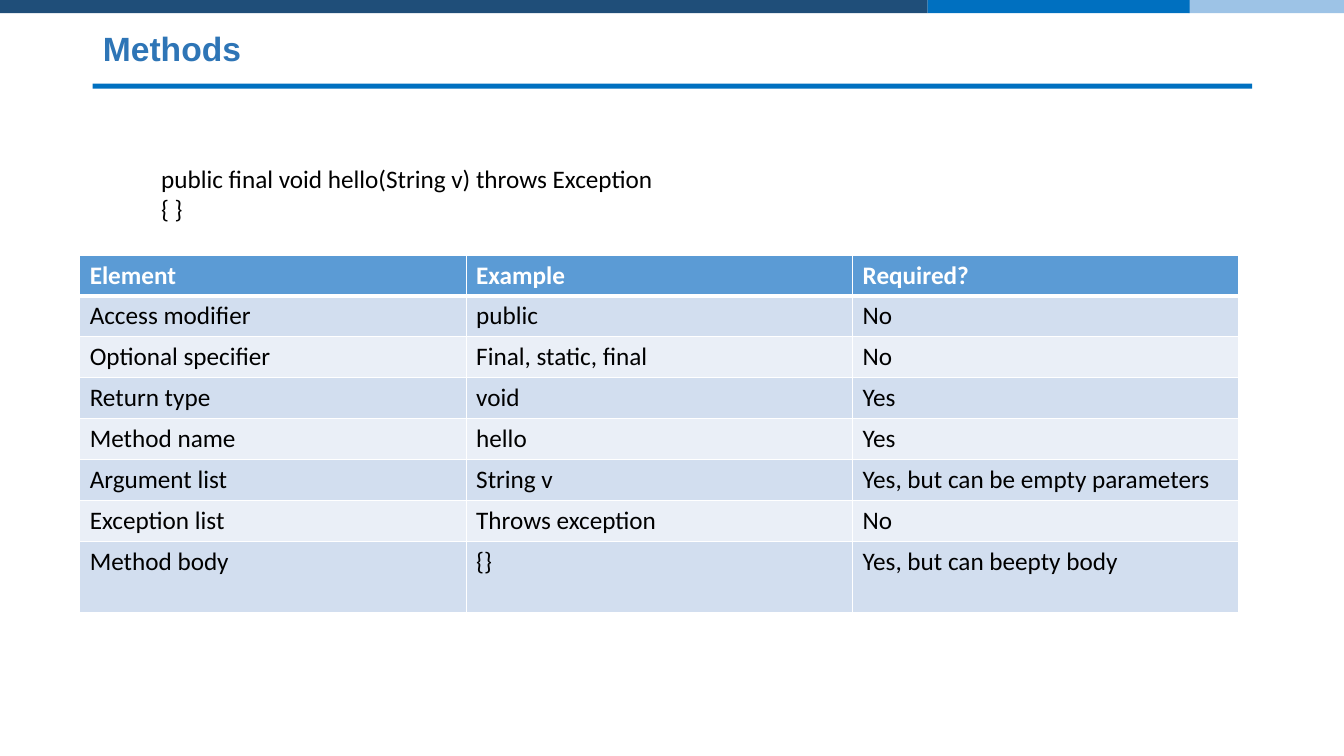
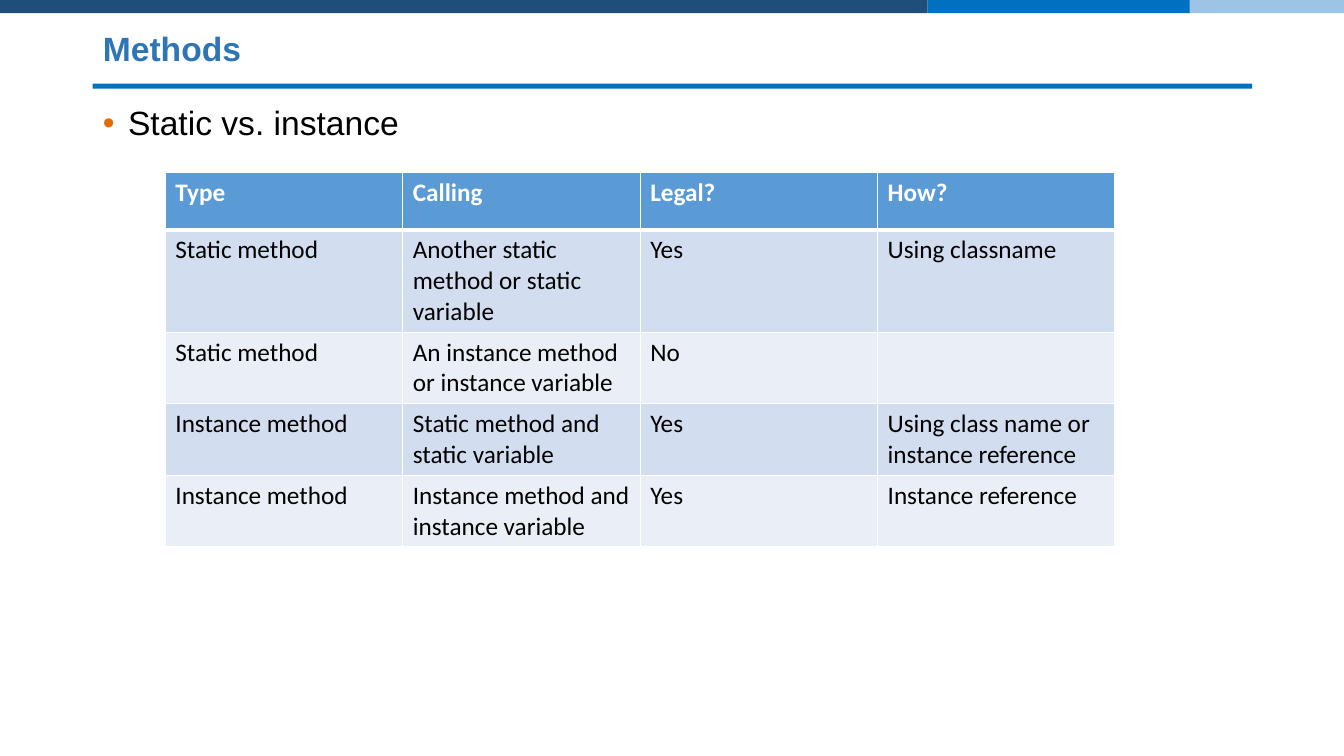
from lxml import etree
from pptx import Presentation
from pptx.dml.color import RGBColor
from pptx.enum.shapes import MSO_SHAPE
from pptx.enum.text import MSO_ANCHOR, MSO_AUTO_SIZE, PP_ALIGN
from pptx.oxml.ns import qn
from pptx.util import Inches, Pt

RECTANGLE = MSO_SHAPE.RECTANGLE
MIDDLE, TOP = MSO_ANCHOR.MIDDLE, MSO_ANCHOR.TOP
NO_AUTOFIT = MSO_AUTO_SIZE.NONE
LEFT = PP_ALIGN.LEFT
TITLE_ONLY, TITLE_AND_BODY = 5, 1
COLORS = {
    "navy": "1F4E79", "blue": "0070C0", "sky": "9DC3E6",
    "title": "2E75B6", "bullet": "E36C09", "text": "000000", "white": "FFFFFF",
    "header": "5B9BD5", "odd_row": "D2DEEF", "even_row": "EAEFF7",
}
MARGIN, CONTENT_WIDTH = 0.92, 11.5
BANDS = [
    (0, -0.01, 9.2, 0.14, "navy"),
    (11.79, -0.01, 1.56, 0.14, "sky"),
    (9.2, -0.01, 2.6, 0.14, "blue"),
    (MARGIN, 0.83, CONTENT_WIDTH, 0.05, "blue"),
]
FIRST_BAND_ID = 101
METHOD_PARTS = [
    ("Element", "Example", "Required?"),
    ("Access modifier", "public", "No"),
    ("Optional specifier", "Final, static, final", "No"),
    ("Return type", "void", "Yes"),
    ("Method name", "hello", "Yes"),
    ("Argument list", "String v", "Yes, but can be empty parameters"),
    ("Exception list", "Throws exception", "No"),
    ("Method body", "{}", "Yes, but can beepty body"),
]
CALL_RULES = [
    ("Type", "Calling", "Legal?", "How?"),
    ("Static method", "Another static method or static variable", "Yes", "Using classname"),
    ("Static method", "An instance method or instance variable", "No", ""),
    ("Instance method", "Static method and static variable", "Yes",
     "Using class name or instance reference"),
    ("Instance method", "Instance method and instance variable", "Yes", "Instance reference"),
]


def color(name):
    return RGBColor.from_string(COLORS[name])


def set_font(para, name, size, color_name, bold=False):
    para.font.name = name
    para.font.size = Pt(size)
    para.font.bold = bold
    para.font.color.rgb = color(color_name)


def place(shape, left, top, width, height):
    shape.left, shape.top = Inches(left), Inches(top)
    shape.width, shape.height = Inches(width), Inches(height)


def add_master_bands(deck, page):
    master_tree = deck.slide_master.shapes.element
    for index, (left, top, width, height, fill) in enumerate(BANDS):
        band = page.shapes.add_shape(
            RECTANGLE, Inches(left), Inches(top), Inches(width), Inches(height))
        band.shadow.inherit = False
        band.fill.solid()
        band.fill.fore_color.rgb = color(fill)
        band.line.fill.background()
        band.element.xpath("p:nvSpPr/p:cNvPr")[0].set("id", str(FIRST_BAND_ID + index))
        master_tree.insert(2 + index, band.element)


def fill_placeholder(box, text, anchor):
    frame = box.text_frame
    frame.auto_size = NO_AUTOFIT
    frame.vertical_anchor = anchor
    para = frame.paragraphs[0]
    para.text = text
    para.alignment = LEFT
    para.line_spacing = 0.9
    para.space_before = Pt(0)
    return para


def add_page(deck, layout_index, title):
    page = deck.slides.add_slide(deck.slide_layouts[layout_index])
    place(page.shapes.title, MARGIN, 0.24, CONTENT_WIDTH, 0.52)
    para = fill_placeholder(page.shapes.title, title, MIDDLE)
    set_font(para, "Arial", 24, "title", bold=True)
    return page


def add_bullet(para):
    properties = para._p.get_or_add_pPr()
    properties.set("marL", str(Inches(0.25)))
    properties.set("indent", str(Inches(-0.25)))
    bullet_color = etree.SubElement(properties, qn("a:buClr"))
    etree.SubElement(bullet_color, qn("a:srgbClr"), val=COLORS["bullet"])
    etree.SubElement(properties, qn("a:buFont"), typeface="Arial")
    etree.SubElement(properties, qn("a:buChar"), char="•")


def fill_body(page, text):
    body = page.placeholders[1]
    place(body, MARGIN, 1.01, CONTENT_WIDTH, 5.48)
    para = fill_placeholder(body, text, TOP)
    add_bullet(para)
    set_font(para, "Arial", 24, "text")


def add_code(page, text):
    box = page.shapes.add_textbox(Inches(1.5), Inches(1.57), Inches(9.58), Inches(0.71))
    box.text_frame.word_wrap = True
    para = box.text_frame.paragraphs[0]
    para.text = text
    set_font(para, "Calibri", 18, "text")


def set_borders(cell, top, bottom):
    properties = cell._tc.get_or_add_tcPr()
    for side, width in (("L", 1), ("R", 1), ("T", top), ("B", bottom)):
        line = etree.SubElement(properties, qn("a:ln" + side), w=str(Pt(width)))
        fill = etree.SubElement(line, qn("a:solidFill"))
        etree.SubElement(fill, qn("a:srgbClr"), val=COLORS["white"])


def format_cell(cell, text, row_index):
    is_header = row_index == 0
    set_borders(cell, 3 if row_index == 1 else 1, 3 if is_header else 1)
    cell.fill.solid()
    row_fill = "odd_row" if row_index % 2 else "even_row"
    cell.fill.fore_color.rgb = color("header" if is_header else row_fill)
    para = cell.text_frame.paragraphs[0]
    para.text = text
    set_font(para, "Calibri", 18, "white" if is_header else "text", bold=is_header)


def add_grid(page, rows, left, top, width, heights):
    column_count = len(rows[0])
    table = page.shapes.add_table(
        len(rows), column_count, Inches(left), Inches(top),
        Inches(width), Inches(sum(heights))).table
    for column in table.columns:
        column.width = Inches(width / column_count)
    for row_index, (texts, height) in enumerate(zip(rows, heights)):
        table.rows[row_index].height = Inches(height)
        for column_index, text in enumerate(texts):
            format_cell(table.cell(row_index, column_index), text, row_index)


def main():
    deck = Presentation()
    deck.slide_width, deck.slide_height = Inches(13.33), Inches(7.5)

    page = add_page(deck, TITLE_ONLY, "Methods")
    add_master_bands(deck, page)
    add_grid(page, METHOD_PARTS, 0.79, 2.53, CONTENT_WIDTH, [0.4] * 7 + [0.71])
    add_code(page, "public final void hello(String v) throws Exception\n{ }")

    page = add_page(deck, TITLE_AND_BODY, "Methods")
    fill_body(page, "Static vs. instance")
    add_grid(page, CALL_RULES, 1.64, 1.71, 9.42, [0.57, 1.01] + [0.71] * 3)

    deck.save("out.pptx")


if __name__ == "__main__":
    main()
